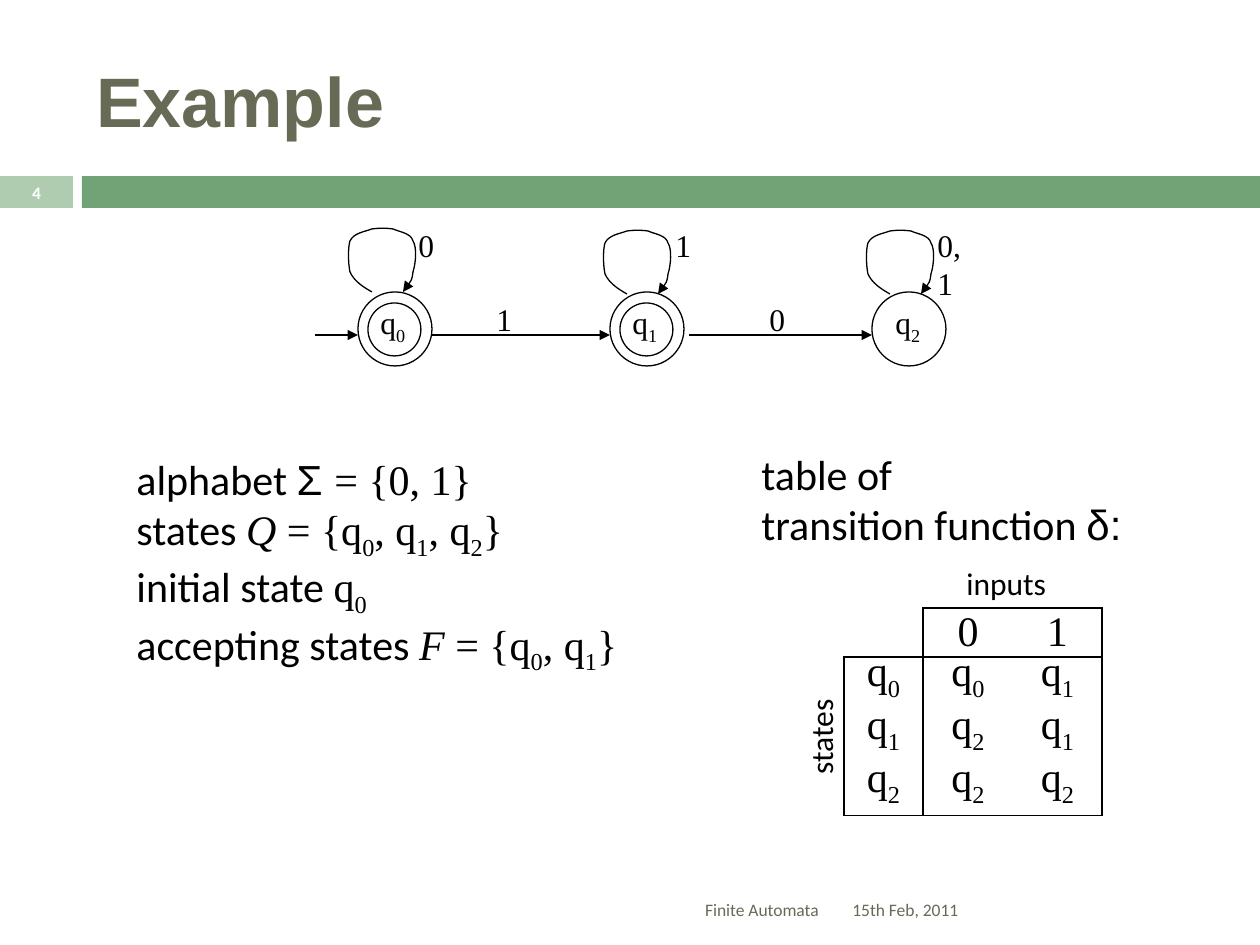
import dataclasses
import typing

import lxml.etree
import pptx
import pptx.dml.color
import pptx.enum.shapes
import pptx.enum.text
import pptx.oxml.ns
import pptx.util

SCALE = 914400 / 126
BLACK, OLIVE, GREEN, PALE, WHITE = "000000", "676A55", "72A376", "B0CCB0", "FFFFFF"
SERIF, SANS, ARIAL = "Times New Roman", "Calibri", "Arial"
ALIGN = pptx.enum.text.PP_ALIGN
ANCHOR = pptx.enum.text.MSO_ANCHOR
SHAPE = pptx.enum.shapes.MSO_SHAPE
qn = pptx.oxml.ns.qn

LOOP_POINTS = [
    (24, 64), (15, 59), (6, 53), (2, 44), (0, 35), (0, 19), (2, 13),
    (6, 5), (16, 4), (24, 1), (31, 0), (38, 0), (45, 1),
    (51, 4), (63, 5), (65, 13), (69, 19), (68, 35), (65, 44),
    (64, 53), (59, 59), (55, 64),
]


@dataclasses.dataclass
class Run:
    text: str
    font: str = SERIF
    italic: bool = False


@dataclasses.dataclass
class State:
    name: str
    x: int
    label_x: int
    loop: tuple[int, int]
    loop_label: str
    loop_label_box: tuple[int, int, int, int]
    accepting: bool = True


@dataclasses.dataclass
class Arrow:
    x1: int
    x2: int
    label: str = ""
    label_x: int = 0


STATES = [
    State("q_0", 358, 368, (348, 228), "0", (406, 220, 40, 50)),
    State("q_1", 610, 620, (603, 230), "1", (663, 220, 40, 50)),
    State("q_2", 872, 883, (866, 230), "0,1", (925, 220, 62, 50), False),
]
ARROWS = [Arrow(315, 358), Arrow(431, 610, "1", 484), Arrow(689, 872, "0", 757)]
DEFINITION = [
    [Run("alphabet ", SANS), Run("Σ ", ARIAL), Run("= {0, 1}")],
    [Run("states ", SANS), Run("Q", italic=True), Run(" = {q_0, q_1, q_2}")],
    [Run("initial state ", SANS), Run("q_0")],
    [Run("accepting states ", SANS), Run("F", italic=True), Run(" = {q_0, q_1}")],
]
TRANSITIONS = [
    ["", "0", "1"],
    ["q_0", "q_0", "q_1"],
    ["q_1", "q_2", "q_1"],
    ["q_2", "q_2", "q_2"],
]


def px(n: float) -> int:
    return round(n * SCALE)


def rgb(color: str) -> pptx.dml.color.RGBColor:
    return pptx.dml.color.RGBColor.from_string(color)


def add_run(p, text: str, size: float, font: str, color: str, bold: bool,
            italic: bool = False, sub: bool = False) -> None:
    r = p.add_run()
    r.text = text
    r.font.size = pptx.util.Pt(size)
    r.font.name = font
    r.font.bold = bold
    r.font.italic = italic
    r.font.color.rgb = rgb(color)
    if sub:
        r._r.get_or_add_rPr().set("baseline", "-25000")


def write(tf, paragraphs: list[list[Run]], size: float, color: str = BLACK,
          bold: bool = False, align=ALIGN.LEFT) -> None:
    for i, runs in enumerate(paragraphs):
        p = tf.paragraphs[0] if i == 0 else tf.add_paragraph()
        p.alignment = align
        for run in runs:
            first, *rest = run.text.split("_")
            pieces = [(first, False)]
            for part in rest:
                pieces += [(part[0], True), (part[1:], False)]
            for text, sub in pieces:
                if text:
                    add_run(p, text, size, run.font, color, bold, run.italic, sub)


def add_text(s, box: tuple[int, int, int, int], text: str | list[list[Run]], *,
             size: float = 18, font: str = SERIF, wrap: bool = False,
             anchor=ANCHOR.TOP, rotation: int = 0, **style: typing.Any) -> None:
    sp = s.shapes.add_textbox(*map(px, box))
    sp.rotation = rotation
    tf = sp.text_frame
    tf.word_wrap = wrap
    tf.vertical_anchor = anchor
    if not wrap:
        tf.auto_size = pptx.enum.text.MSO_AUTO_SIZE.SHAPE_TO_FIT_TEXT
    write(tf, [[Run(text, font)]] if isinstance(text, str) else text, size, **style)


def style_line(sp, arrow: bool = False) -> None:
    sp.line.color.rgb = rgb(BLACK)
    sp.line.width = pptx.util.Pt(0.75)
    if arrow:
        ln = sp.line._get_or_add_ln()
        lxml.etree.SubElement(ln, qn("a:tailEnd"), type="triangle")


def add_bar(s, x: int, width: int, color: str) -> None:
    sp = s.shapes.add_shape(SHAPE.RECTANGLE, px(x), px(176), px(width), px(32))
    sp.shadow.inherit = False
    sp.fill.solid()
    sp.fill.fore_color.rgb = rgb(color)
    sp.line.fill.background()


def add_circle(s, x: int, y: int, size: int) -> None:
    sp = s.shapes.add_shape(SHAPE.OVAL, px(x), px(y), px(size), px(size))
    sp.shadow.inherit = False
    sp.fill.background()
    style_line(sp)


def add_loop(s, x: int, y: int) -> None:
    points = [(px(x + dx), px(y + dy)) for dx, dy in LOOP_POINTS]
    builder = s.shapes.build_freeform(*points[0])
    builder.add_line_segments(points[1:], close=False)
    sp = builder.convert_to_shape()
    sp.shadow.inherit = False
    sp.fill.background()
    style_line(sp, arrow=True)
    outline = sp._element.find(".//" + qn("a:path"))
    segments = outline.findall(qn("a:lnTo"))
    for i in range(0, len(segments), 3):
        curve = lxml.etree.SubElement(outline, qn("a:cubicBezTo"))
        for segment in segments[i:i + 3]:
            curve.append(segment[0])
            outline.remove(segment)


def add_state(s, state: State) -> None:
    add_circle(s, state.x, 292, 74)
    if state.accepting:
        add_circle(s, state.x + 10, 303, 53)
    add_text(s, (state.label_x, 297, 50, 50), state.name)
    add_loop(s, *state.loop)
    add_text(s, state.loop_label_box, state.loop_label, wrap=len(state.loop_label) > 1)


def add_arrow(s, arrow: Arrow) -> None:
    line = s.shapes.add_connector(pptx.enum.shapes.MSO_CONNECTOR.STRAIGHT,
                                  px(arrow.x1), px(335), px(arrow.x2), px(335))
    style_line(line, arrow=True)
    lxml.etree.SubElement(line._element.spPr, qn("a:effectLst"))
    if arrow.label:
        add_text(s, (arrow.label_x, 294, 40, 50), arrow.label)


def set_borders(cell, sides: dict[str, bool]) -> None:
    tc_pr = cell._tc.get_or_add_tcPr()
    for side, shown in sides.items():
        ln = lxml.etree.SubElement(tc_pr, qn("a:ln" + side), w="9525")
        fill = lxml.etree.SubElement(ln, qn("a:solidFill" if shown else "a:noFill"))
        if shown:
            lxml.etree.SubElement(fill, qn("a:srgbClr"), val=BLACK)


def add_transition_table(s) -> None:
    widths, heights = [79, 90, 89], [49, 53, 53, 53]
    table = s.shapes.add_table(4, 3, px(844), px(608), px(sum(widths)), px(sum(heights))).table
    table.first_row = table.horz_banding = False
    for column, width in zip(table.columns, widths):
        column.width = px(width)
    for i, (row, height) in enumerate(zip(table.rows, heights)):
        row.height = px(height)
        for j, cell in enumerate(row.cells):
            cell.margin_left = cell.margin_right = cell.margin_top = cell.margin_bottom = 0
            write(cell.text_frame, [[Run(TRANSITIONS[i][j])]], 24, align=ALIGN.CENTER)
            cell.text_frame.paragraphs[0].line_spacing = pptx.util.Pt(26 if i else 27)
            set_borders(cell, {"L": j == 1 or (j == 0 and i > 0), "R": j != 1,
                               "T": i == 1 or (i == 0 and j > 0), "B": i in (0, 3)})
            cell.fill.background()


def main() -> None:
    prs = pptx.Presentation()
    prs.slide_width, prs.slide_height = px(1260), px(945)
    s = prs.slides.add_slide(prs.slide_layouts[6])
    add_bar(s, 0, 73, PALE)
    add_bar(s, 82, 1178, GREEN)
    box = {"wrap": True, "anchor": ANCHOR.MIDDLE}
    add_text(s, (84, 32, 1124, 136), "Example", size=40, font=ARIAL, color=OLIVE, bold=True, **box)
    for state in STATES:
        add_state(s, state)
    for arrow in ARROWS:
        add_arrow(s, arrow)
    add_text(s, (124, 447, 509, 217), DEFINITION, size=24)
    add_text(s, (749, 442, 385, 115),
             [[Run("table of", SANS)], [Run("transition function ", SANS), Run("δ:", ARIAL)]], size=24)
    add_text(s, (954, 558, 108, 50), "inputs", font=SANS)
    add_text(s, (767, 708, 107, 50), "states", font=SANS, rotation=270)
    add_transition_table(s)
    small = {"size": 10, "font": SANS, **box}
    add_text(s, (840, 885, 368, 50), "15th Feb, 2011", color=OLIVE, **small)
    add_text(s, (0, 175, 73, 34), "4", color=WHITE, bold=True, align=ALIGN.CENTER, **small)
    add_text(s, (84, 885, 747, 50), "Finite Automata", color=OLIVE, align=ALIGN.RIGHT, **small)
    prs.save("out.pptx")


if __name__ == "__main__":
    main()
